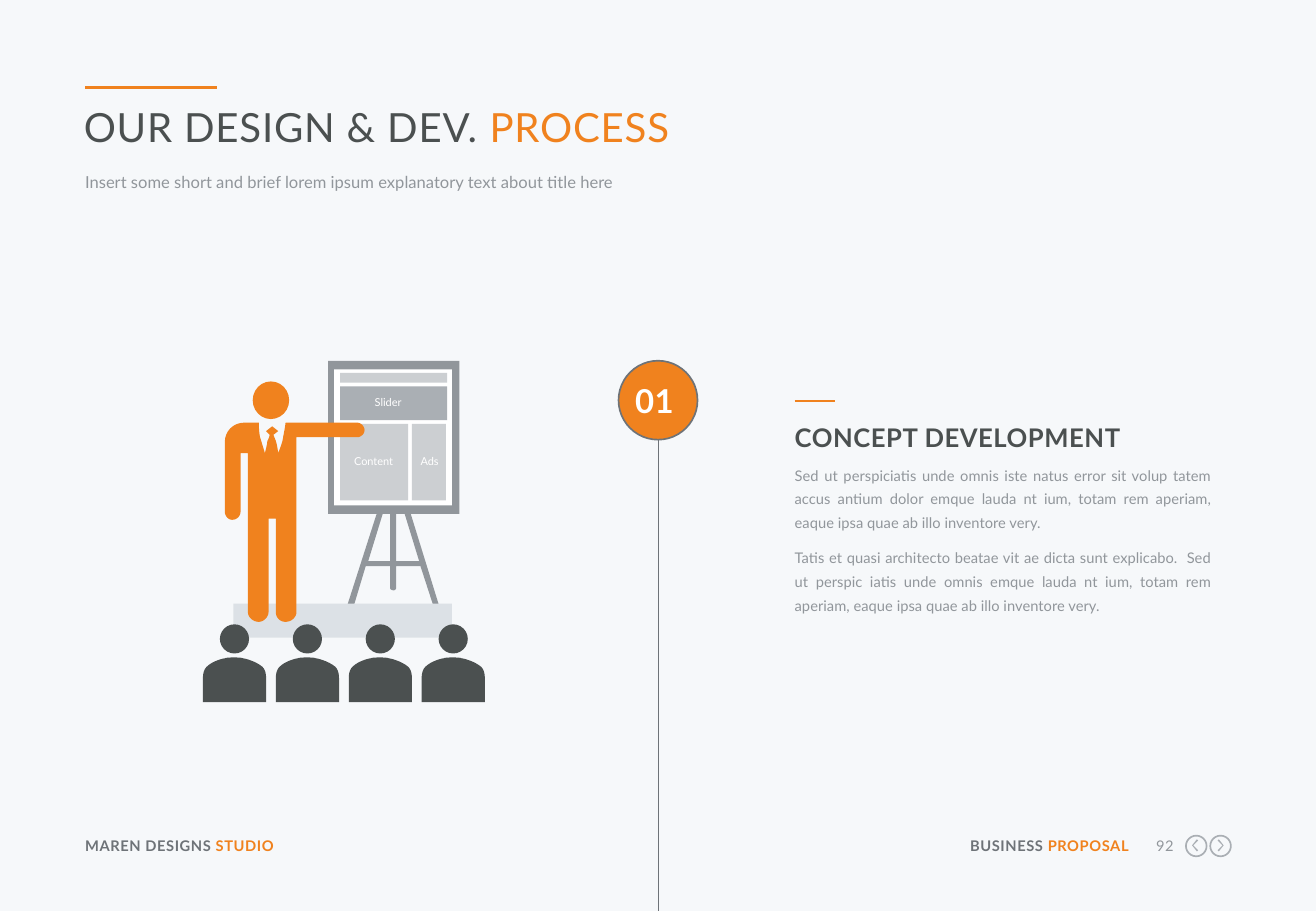
"""Build the concept development slide of a business proposal deck."""
from lxml.etree import SubElement
from pptx import Presentation
from pptx.dml.color import RGBColor
from pptx.enum.shapes import MSO_CONNECTOR, MSO_SHAPE
from pptx.enum.text import MSO_ANCHOR, MSO_AUTO_SIZE, PP_ALIGN as ALIGN
from pptx.oxml.ns import qn
from pptx.util import Inches, Pt

ORANGE, DARK, SLATE, GREY = "F0821E", "4B5050", "6E7378", "91969B"
SILVER, PALE, MIST, WHITE = "AAAFB4", "CCCFD2", "DCE1E6", "FFFFFF"
RECT, OVAL, OUTLINE = MSO_SHAPE.RECTANGLE, MSO_SHAPE.OVAL, None
colour = RGBColor.from_string


def write(box, place, paragraphs, size, bold=False, spacing=0, **layout):
    """Place a text box and fill it with paragraphs of (text, colour) spans."""
    box.left, box.top, box.width, box.height = map(Inches, place)
    frame = box.text_frame
    settings = {"word_wrap": True, "auto_size": MSO_AUTO_SIZE.NONE,
                "vertical_anchor": MSO_ANCHOR.TOP, "margin_left": 0,
                "margin_top": 0, "margin_right": 0, "margin_bottom": 0}
    for name, value in settings.items():
        setattr(frame, name, value)
    for index, spans in enumerate(paragraphs):
        para = frame.add_paragraph() if index else frame.paragraphs[0]
        for name, value in ({"alignment": ALIGN.LEFT} | layout).items():
            setattr(para, name, value)
        for text, ink in spans:
            span = para.add_run()
            span.text = text
            for name, value in {"name": "Lato", "size": Pt(size), "bold": bold}.items():
                setattr(span.font, name, value)
            span.font.color.rgb = colour(ink)
            if spacing:
                span.font._element.set("spc", str(round(spacing * 100)))


def trace(start, contour):
    """Return the points of a contour of corners and cubic curves."""
    points = [start]
    for step in contour:
        if len(step) == 2:
            points.append(step)
            continue
        knots = [points[-1], step[:2], step[2:4], step[4:]]
        for t in [n / 8 for n in range(1, 9)]:
            weights = ((1 - t) ** 3, 3 * t * (1 - t) ** 2, 3 * t * t * (1 - t), t ** 3)
            points.append(tuple(sum(w * knot[axis] for w, knot in zip(weights, knots))
                                for axis in (0, 1)))
    return [(Inches(x), Inches(y)) for x, y in points]


deck = Presentation()
deck.slide_width, deck.slide_height = Inches(10.83), Inches(7.5)
page = deck.slides.add_slide(deck.slide_layouts[5])
page.background.fill.solid()
page.background.fill.fore_color.rgb = colour("F6F8FA")

write(page.shapes.title, (0.69, 0.84, 9.42, 0.41),
      [[("OUR DESIGN & DEV. ", DARK), ("PROCESS", ORANGE)]], 23.8, spacing=0.5)

rules = [
    ((0.7, 0.72), (1.79, 0.72), ORANGE, 2.25),
    ((5.42, 3.62), (5.42, 7.5), SLATE, 1),
    ((6.54, 3.3), (6.87, 3.3), ORANGE, 1.5),
]
for start, end, ink, width in rules:
    rule = page.shapes.add_connector(MSO_CONNECTOR.STRAIGHT, *map(Inches, start + end))
    rule.line.color.rgb = colour(ink)
    rule.line.width = Pt(width)
    SubElement(rule._element.spPr, qn("a:effectLst"))

easel = [
    [(2.7, 2.97), (2.7, 4.23), (3.1, 4.23), (2.84, 5.04),
     (2.83, 5.08, 2.88, 5.09, 2.89, 5.06), (3.01, 4.66), (3.21, 4.66), (3.21, 4.84),
     (3.21, 4.85, 3.22, 4.86, 3.24, 4.86), (3.25, 4.86, 3.26, 4.85, 3.26, 4.84),
     (3.26, 4.66), (3.46, 4.66), (3.59, 5.06), (3.6, 5.09, 3.64, 5.08, 3.63, 5.04),
     (3.38, 4.23), (3.78, 4.23), (3.78, 2.97)],
    [(3.03, 4.62), (3.15, 4.23), (3.21, 4.23), (3.21, 4.62)],
    [(3.45, 4.62), (3.26, 4.62), (3.26, 4.23), (3.33, 4.23)],
]
presenter = [[
    (2.94, 3.48), (2.35, 3.48), (2.35, 3.49, 2.34, 3.55, 2.33, 3.6),
    (2.33, 3.63, 2.29, 3.73, 2.29, 3.73), (2.29, 3.73, 2.28, 3.66, 2.27, 3.63),
    (2.25, 3.58), (2.29, 3.55), (2.24, 3.51), (2.19, 3.55), (2.22, 3.58),
    (2.22, 3.58, 2.21, 3.62, 2.2, 3.63), (2.2, 3.66, 2.18, 3.73, 2.18, 3.73),
    (2.18, 3.73, 2.15, 3.63, 2.14, 3.6), (2.13, 3.55, 2.13, 3.49, 2.13, 3.48),
    (2.01, 3.48), (1.92, 3.48, 1.85, 3.55, 1.85, 3.64), (1.85, 4.21),
    (1.85, 4.25, 1.88, 4.28, 1.91, 4.28), (1.95, 4.28, 1.98, 4.25, 1.98, 4.21),
    (1.98, 3.73), (2.04, 3.73), (2.04, 5.04),
    (2.04, 5.08, 2.08, 5.12, 2.13, 5.12), (2.17, 5.12, 2.21, 5.08, 2.21, 5.04),
    (2.21, 4.27), (2.27, 4.27), (2.27, 5.04),
    (2.27, 5.08, 2.3, 5.12, 2.35, 5.12), (2.4, 5.12, 2.44, 5.08, 2.44, 5.04),
    (2.44, 3.6), (2.95, 3.6), (2.98, 3.59, 3, 3.57, 3, 3.54),
    (3, 3.51, 2.97, 3.48, 2.94, 3.48),
]]
torso = [
    (0.52, 5.78), (0.52, 5.59), (0.52, 5.57, 0.52, 5.52, 0.49, 5.49),
    (0.43, 5.44, 0.34, 5.42, 0.33, 5.42), (0.32, 5.41, 0.19, 5.41, 0.18, 5.42),
    (0.17, 5.42, 0.08, 5.44, 0.03, 5.49), (0, 5.52, 0, 5.57, 0, 5.59), (0, 5.78),
]
chevron = [(0.02, 7), (-0.02, 6.96), (0.02, 6.92), (0.01, 6.91), (-0.03, 6.96), (0.01, 7.01)]

drawing = [
    (OVAL, (5.09, 2.97, 0.65, 0.65), ORANGE, SLATE),
    (OUTLINE, easel, GREY, None),
    (RECT, (1.92, 4.97, 1.8, 0.28), MIST, None),
    (RECT, (2.75, 3.04, 0.97, 1.12), WHITE, None),
    (RECT, (2.8, 3.07, 0.88, 0.08), PALE, None),
    (RECT, (2.8, 3.18, 0.88, 0.28), SILVER, None),
    (RECT, (2.8, 3.49, 0.56, 0.63), PALE, None),
    (RECT, (3.39, 3.49, 0.28, 0.63), PALE, None),
]
for seat in range(4):
    left = 1.67 + 0.6 * seat
    body = [tuple(v if n % 2 else v + left for n, v in enumerate(step)) for step in torso]
    drawing += [(OVAL, (left + 0.14, 5.14, 0.24, 0.24), DARK, None),
                (OUTLINE, [body], DARK, None)]
drawing += [(OVAL, (2.08, 3.14, 0.3, 0.31), ORANGE, None),
            (OUTLINE, presenter, ORANGE, None)]
for middle, side in ((9.84, 1), (10.04, -1)):
    arrow = [(middle + side * x, y) for x, y in chevron]
    drawing += [(OVAL, (middle - 0.08, 6.88, 0.17, 0.17), None, SILVER),
                (OUTLINE, [arrow], SILVER, None)]

for kind, geometry, fill, edge in drawing:
    if kind is OUTLINE:
        contours = [trace(contour[0], contour[1:]) for contour in geometry]
        builder = page.shapes.build_freeform(*contours[0][0])
        for contour in contours:
            builder.move_to(*contour[0])
            builder.add_line_segments(contour[1:], close=True)
        shape = builder.convert_to_shape()
    else:
        shape = page.shapes.add_shape(kind, *map(Inches, geometry))
    shape.shadow.inherit = False
    if fill:
        shape.fill.solid()
        shape.fill.fore_color.rgb = colour(fill)
    else:
        shape.fill.background()
    if edge:
        shape.line.color.rgb = colour(edge)
        shape.line.width = Pt(1)
    else:
        shape.line.fill.background()

center, right = {"alignment": ALIGN.CENTER}, {"alignment": ALIGN.RIGHT}
footer = {"size": 8.7, "spacing": 0.3}
heading = {"size": 15.2, "bold": True, "spacing": 0.3, "line_spacing": Pt(18.4)}
copy_text = {"size": 8.7, "alignment": ALIGN.JUSTIFY,
             "line_spacing": Pt(14.1), "space_after": Pt(6.5)}
labels = [
    ((0.7, 1.4, 9.42, 0.21),
     [[("Insert some short and brief lorem ipsum explanatory text about title here", GREY)]],
     {"size": 9.8, "line_spacing": Pt(13)}),
    ((5.19, 3.13, 0.39, 0.33), [[("01", WHITE)]],
     {"size": 19.5, "bold": True, "spacing": 0.2} | center),
    ((6.54, 3.47, 3.44, 0.25), [[("CONCEPT DEVELOPMENT", DARK)]], heading),
    ((6.54, 3.79, 3.43, 1.28),
     [[("Sed ut perspiciatis unde omnis iste natus error sit volup tatem accus antium dolor "
        "emque lauda nt ium, totam rem aperiam, eaque ipsa quae ab illo inventore very.", GREY)],
      [("Tatis et quasi architecto beatae vit ae dicta sunt explicabo.  Sed ut perspic iatis "
        "unde omnis emque lauda nt ium, totam rem aperiam, eaque ipsa quae ab illo "
        "inventore very.", GREY)]], copy_text),
    ((2.96, 3.26, 0.47, 0.11), [[("Slider", WHITE)]], {"size": 6.5} | center),
    ((2.84, 3.74, 0.47, 0.11), [[("Content", WHITE)]], {"size": 6.5} | center),
    ((3.39, 3.74, 0.29, 0.11), [[("Ads", WHITE)]], {"size": 6.5} | center),
    ((0.7, 6.89, 2.11, 0.15), [[("MAREN DESIGNS ", SLATE), ("STUDIO", ORANGE)]],
     footer | {"bold": True}),
    ((7.92, 6.89, 1.37, 0.15), [[("BUSINESS ", SLATE), ("PROPOSAL", ORANGE)]],
     footer | {"bold": True} | right),
    ((9.41, 6.89, 0.25, 0.15), [[("92", GREY)]], footer | right),
]
for place, paragraphs, style in labels:
    write(page.shapes.add_textbox(0, 0, 0, 0), place, paragraphs, **style)

deck.save("out.pptx")
